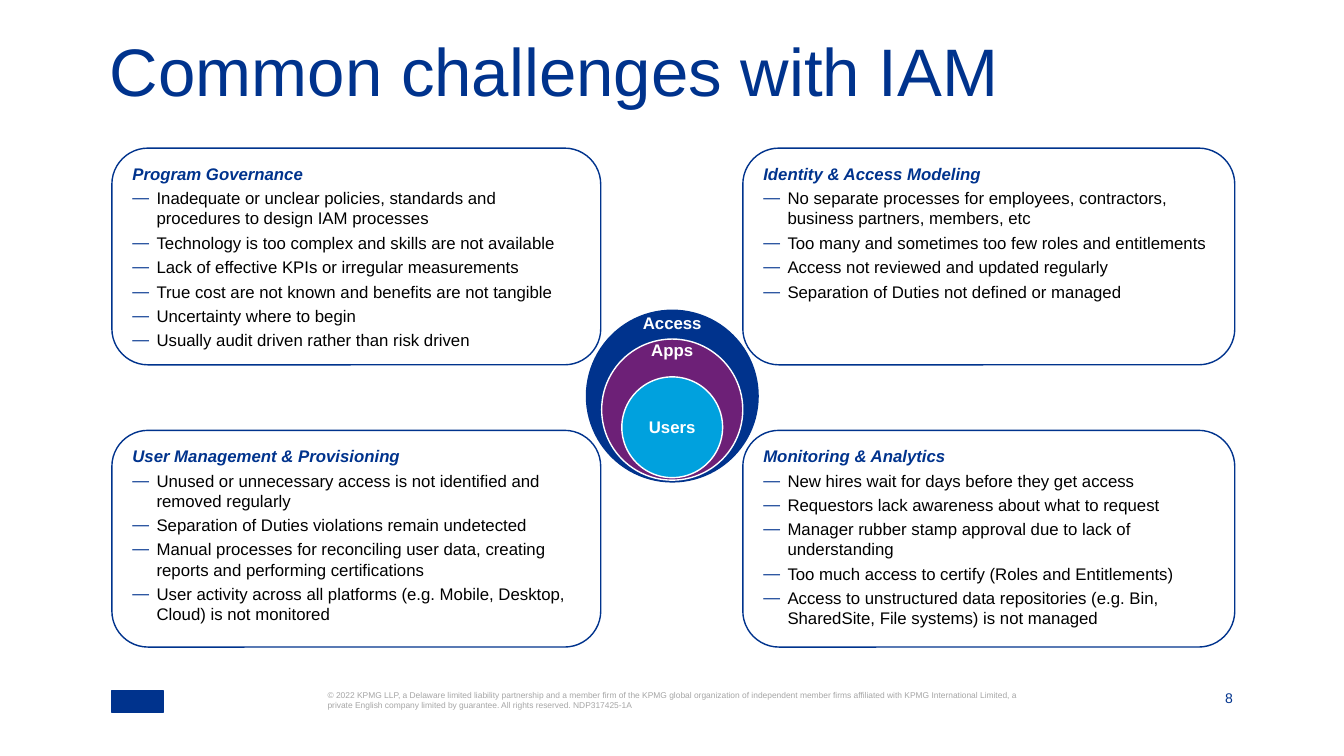
from typing import NamedTuple

from lxml import etree
from pptx import Presentation
from pptx.dml.color import RGBColor
from pptx.enum.shapes import MSO_SHAPE
from pptx.enum.text import MSO_ANCHOR, PP_ALIGN
from pptx.oxml.ns import qn
from pptx.util import Pt

ROUND, OVAL, RECT = MSO_SHAPE.ROUNDED_RECTANGLE, MSO_SHAPE.OVAL, MSO_SHAPE.RECTANGLE
TOP, MIDDLE, BOTTOM = MSO_ANCHOR.TOP, MSO_ANCHOR.MIDDLE, MSO_ANCHOR.BOTTOM
LEFT, CENTER, RIGHT = PP_ALIGN.LEFT, PP_ALIGN.CENTER, PP_ALIGN.RIGHT

COLORS = {
    "navy": "00338D",
    "purple": "6D2077",
    "sky": "00A1DE",
    "white": "FFFFFF",
    "black": "000000",
    "gray": "A6A6A6",
}
FONT = "Arial"
COLUMNS = [(79.9, 349.2), (530.6, 351.4)]  # left, width
ROWS = [105.8, 307.4]
CARD_HEIGHT = 154.8
INDENT = 17.3
CENTER_X = 480.2


class Card(NamedTuple):
    head: str
    points: list[str]


class Ring(NamedTuple):
    label: str
    top: float
    size: float
    fill: str
    line: str
    anchor: MSO_ANCHOR
    base: float  # bottom inset, which lifts the label


class Note(NamedTuple):
    text: str
    frame: tuple[float, float, float, float]
    size: float
    color: str
    align: PP_ALIGN = LEFT
    anchor: MSO_ANCHOR = TOP
    pitch: float | None = None


CARDS = [
    Card("Program Governance", [
        "Inadequate or unclear policies, standards and procedures to design IAM processes",
        "Technology is too complex and skills are not available",
        "Lack of effective KPIs or irregular measurements",
        "True cost are not known and benefits are not tangible",
        "Uncertainty where to begin",
        "Usually audit driven rather than risk driven",
    ]),
    Card("Identity & Access Modeling", [
        "No separate processes for employees, contractors, business partners, members, etc",
        "Too many and sometimes too few roles and entitlements",
        "Access not reviewed and updated regularly",
        "Separation of Duties not defined or managed",
    ]),
    Card("User Management & Provisioning", [
        "Unused or unnecessary access is not identified and removed regularly",
        "Separation of Duties violations remain undetected",
        "Manual processes for reconciling user data, creating reports and performing "
        "certifications",
        "User activity across all platforms (e.g. Mobile, Desktop, Cloud) is not monitored",
    ]),
    Card("Monitoring & Analytics", [
        "New hires wait for days before they get access",
        "Requestors lack awareness about what to request",
        "Manager rubber stamp approval due to lack of understanding",
        "Too much access to certify (Roles and Entitlements)",
        "Access to unstructured data repositories (e.g. Bin, SharedSite, File systems) "
        "is not managed",
    ]),
]

RINGS = [
    Ring("Access", 221.6, 122.6, "navy", "navy", TOP, 122),
    Ring("Apps", 242.2, 100.8, "purple", "white", TOP, 102.2),
    Ring("Users", 269.2, 72, "sky", "white", MIDDLE, 2.9),
]

NOTES = [
    Note("Common challenges with IAM", (78.5, 33.8, 802.8, 41.8), 48, "navy", pitch=45),
    Note("© 2022 KPMG LLP, a Delaware limited liability partnership and a member firm of "
         "the KPMG global organization of independent member firms affiliated with KPMG "
         "International Limited, a private English company limited by guarantee. "
         "All rights reserved. NDP317425-1A", (234, 493.2, 494.6, 29.5), 6, "gray"),
    Note("8", (845.3, 493.2, 35.3, 11.5), 10, "navy", RIGHT, BOTTOM),
]


def paint(name: str) -> RGBColor:
    return RGBColor.from_string(COLORS[name])


def add_run(para, text: str, size: float, color: str, bold=False, slant=False) -> None:
    run = para.add_run()
    run.text = text
    font = run.font
    font.name, font.size = FONT, Pt(size)
    font.bold, font.italic = bold, slant
    font.color.rgb = paint(color)


def add_dash(para) -> None:
    """Give the paragraph a navy dash bullet with a hanging indent."""
    props = para._p.get_or_add_pPr()
    props.set("marL", str(Pt(INDENT)))
    props.set("indent", str(-Pt(INDENT)))
    tint = etree.SubElement(props, qn("a:buClr"))
    etree.SubElement(tint, qn("a:srgbClr"), val=COLORS["navy"])
    etree.SubElement(props, qn("a:buFont"), typeface=FONT)
    etree.SubElement(props, qn("a:buChar"), char="—")


def set_inset(frame, side: float, base: float) -> None:
    frame.margin_left = frame.margin_top = frame.margin_right = Pt(side)
    frame.margin_bottom = Pt(base)


def add_form(slide, kind, box, fill: str | None, line: str):
    form = slide.shapes.add_shape(kind, *map(Pt, box))
    form.shadow.inherit = False
    if fill:
        form.fill.solid()
        form.fill.fore_color.rgb = paint(fill)
    else:
        form.fill.background()
    form.line.color.rgb = paint(line)
    form.line.width = Pt(1)
    return form


def add_note(slide, note: Note) -> None:
    frame = slide.shapes.add_textbox(*map(Pt, note.frame)).text_frame
    frame.word_wrap = True
    frame.vertical_anchor = note.anchor
    set_inset(frame, 0, 0)
    para = frame.paragraphs[0]
    para.alignment = note.align
    if note.pitch:
        para.line_spacing = Pt(note.pitch)
    add_run(para, note.text, note.size, note.color)


def add_card(slide, card: Card, left: float, top: float, width: float) -> None:
    form = add_form(slide, ROUND, (left, top, width, CARD_HEIGHT), None, "navy")
    frame = form.text_frame
    frame.word_wrap = True
    frame.vertical_anchor = TOP
    head = frame.paragraphs[0]
    add_run(head, card.head, 12, "navy", bold=True, slant=True)
    for point in card.points:
        para = frame.add_paragraph()
        add_dash(para)
        add_run(para, point, 12, "black")
    for para in frame.paragraphs:
        para.alignment = LEFT
        para.space_after = Pt(3)


def add_ring(slide, ring: Ring) -> None:
    box = (CENTER_X - ring.size / 2, ring.top, ring.size, ring.size)
    frame = add_form(slide, OVAL, box, ring.fill, ring.line).text_frame
    frame.word_wrap = False
    frame.vertical_anchor = ring.anchor
    set_inset(frame, 2.9, ring.base)
    para = frame.paragraphs[0]
    para.alignment = CENTER
    add_run(para, ring.label, 12, "white", bold=True)


def main() -> None:
    deck = Presentation()
    deck.slide_width, deck.slide_height = Pt(960), Pt(540)
    slide = deck.slides.add_slide(deck.slide_layouts[6])
    for note in NOTES:
        add_note(slide, note)
    add_form(slide, RECT, (79.7, 493.7, 37.2, 14.8), "navy", "navy")
    for place, card in enumerate(CARDS):
        row, col = divmod(place, len(COLUMNS))
        left, width = COLUMNS[col]
        add_card(slide, card, left, ROWS[row], width)
    for ring in RINGS:
        add_ring(slide, ring)
    deck.save("out.pptx")


if __name__ == "__main__":
    main()
